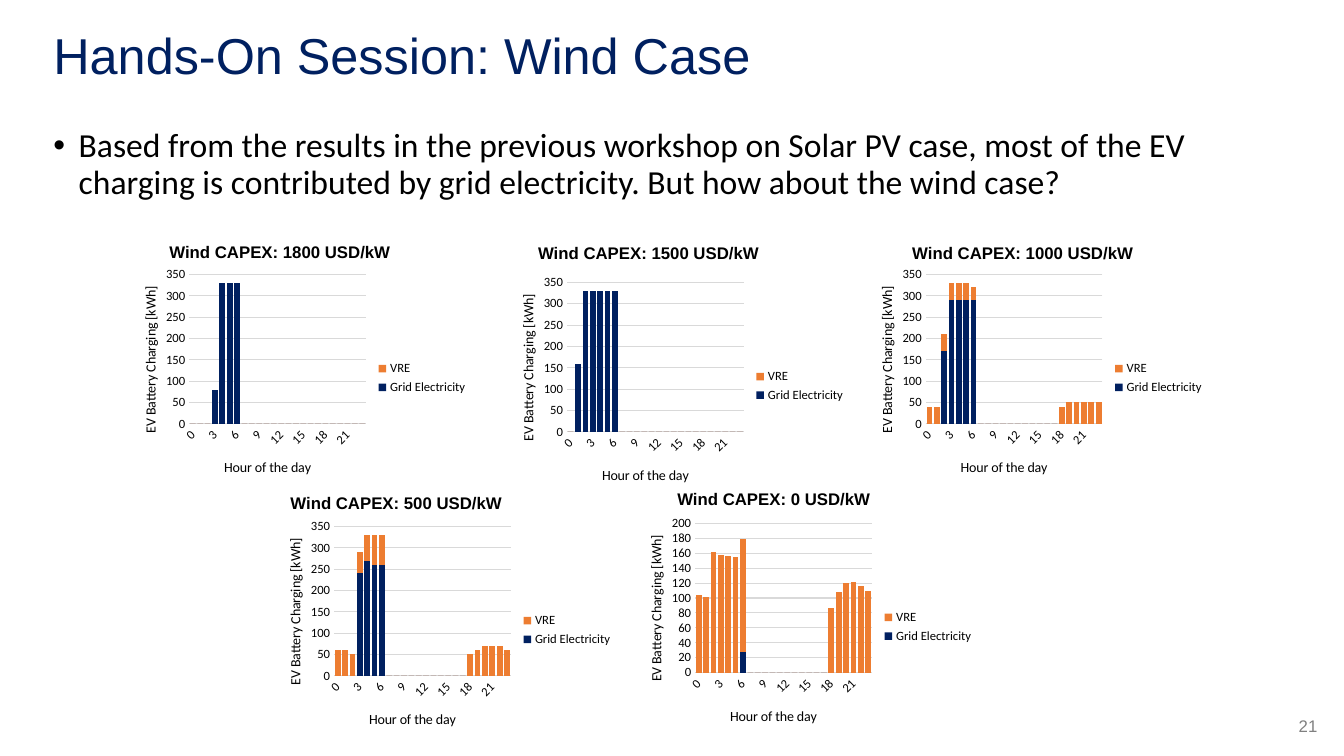
from lxml import etree
from pptx import Presentation
from pptx import util as u
from pptx.chart.data import CategoryChartData
from pptx.dml.color import RGBColor
from pptx.enum import chart as charts
from pptx.enum import text
from pptx.oxml import parse_xml
from pptx.oxml.ns import nsdecls, qn

COLORS = {"navy": "002060", "orange": "ED7D31", "black": "000000",
          "gray": "808080", "grid": "D9D9D9"}
CHART_SIZE = (9.09, 5.79)
CAPTION_SIZE = (6.2, 0.91)
DAY = [0] * 11  # hours 7 to 17, without charging
NONE = [0] * 24
EVENING = [0] * 6

# CAPEX, caption corner, chart corner, axis maximum, axis step, grid, VRE
CASES = [
    (1800, (4.27, 5.89), (2.95, 6.63), 350, 50,
     [0, 0, 0, 80, 330, 330, 330] + DAY + EVENING, NONE),
    (1500, (13.56, 5.92), (12.47, 6.83), 350, 50,
     [0, 160, 330, 330, 330, 330, 330] + DAY + EVENING, NONE),
    (1000, (22.99, 5.92), (21.51, 6.63), 350, 50,
     [0, 0, 170, 290, 290, 290, 290] + DAY + EVENING,
     [40, 40, 40, 40, 40, 40, 30] + DAY + [40, 50, 50, 50, 50, 50]),
    (500, (7.32, 12.22), (6.6, 12.98), 350, 50,
     [0, 0, 0, 240, 270, 260, 260] + DAY + EVENING,
     [60, 60, 50, 50, 60, 70, 70] + DAY + [50, 60, 70, 70, 70, 60]),
    (0, (17.07, 12.12), (15.7, 12.9), 200, 20,
     [0, 0, 0, 0, 0, 0, 28] + DAY + EVENING,
     [104, 101, 161, 158, 156, 155, 151] + DAY
     + [86, 108, 120, 121, 116, 110]),
]


def rgb(name):
    """Return the named colour."""
    return RGBColor.from_string(COLORS[name])


def set_layout(element, index, **values):
    """Give a chart part a manual layout in fractions of the chart."""
    for old in element.findall(qn("c:layout")):
        element.remove(old)
    layout = parse_xml(f"<c:layout {nsdecls('c')}><c:manualLayout/></c:layout>")
    manual = layout[0]
    if "w" in values:
        etree.SubElement(manual, qn("c:layoutTarget")).set("val", "inner")
    for key in ("xMode", "yMode"):
        etree.SubElement(manual, qn("c:" + key)).set("val", "edge")
    for key, value in values.items():
        etree.SubElement(manual, qn("c:" + key)).set("val", str(value))
    element.insert(index, layout)


class SlideBuilder:
    """Holds the style and the current slide."""

    heading_font = "Arial"
    body_font = "Calibri"

    def __init__(self, slide):
        self.slide = slide

    def style(self, font, size, color="black", name=None, bold=False):
        """Format a font."""
        font.name = name or self.body_font
        font.size = u.Pt(size)
        font.bold = bold
        font.color.rgb = rgb(color)

    def place(self, shape, left, top, width, height):
        """Move and size a shape, in centimetres."""
        shape.left, shape.top = u.Cm(left), u.Cm(top)
        shape.width, shape.height = u.Cm(width), u.Cm(height)

    def title(self, words, box):
        """Fill the title placeholder."""
        shape = self.slide.shapes.title
        self.place(shape, *box)
        frame = shape.text_frame
        frame.text = words
        frame.auto_size = text.MSO_AUTO_SIZE.NONE
        frame.vertical_anchor = text.MSO_ANCHOR.MIDDLE
        paragraph = frame.paragraphs[0]
        paragraph.alignment = text.PP_ALIGN.LEFT
        paragraph.line_spacing = 0.9
        self.style(paragraph.font, 36, "navy", self.heading_font)

    def bullet(self, words, box):
        """Fill the body placeholder with one bulleted paragraph."""
        shape = self.slide.placeholders[1]
        self.place(shape, *box)
        frame = shape.text_frame
        frame.text = words
        frame.auto_size = text.MSO_AUTO_SIZE.NONE
        paragraph = frame.paragraphs[0]
        paragraph.line_spacing = 0.9
        paragraph.space_before = u.Pt(10)
        self.style(paragraph.font, 24)
        properties = paragraph._p.get_or_add_pPr()
        indent = u.Cm(0.64)
        properties.set("marL", str(indent))
        properties.set("indent", str(-indent))

    def label(self, words, box, size=12, color="black", bold=False,
              align=text.PP_ALIGN.LEFT, inset=0):
        """Add a one-line text box."""
        shape = self.slide.shapes.add_textbox(*map(u.Cm, box))
        frame = shape.text_frame
        frame.word_wrap = True
        frame.vertical_anchor = text.MSO_ANCHOR.MIDDLE
        frame.margin_left = frame.margin_right = u.Cm(inset)
        frame.margin_top = frame.margin_bottom = 0
        frame.text = words
        paragraph = frame.paragraphs[0]
        paragraph.alignment = align
        self.style(paragraph.font, size, color, self.heading_font, bold)

    def axis(self, axis, words, x, y):
        """Style an axis and place its title."""
        axis.major_tick_mark = axis.minor_tick_mark = charts.XL_TICK_MARK.NONE
        self.style(axis.tick_labels.font, 9)
        title = axis.axis_title
        title.text_frame.text = words
        self.style(title.text_frame.paragraphs[0].font, 10)
        set_layout(title._element, 1, x=x, y=y)

    def charging_chart(self, corner, maximum, step, grid, vre):
        """Add a stacked column chart of charging by hour."""
        data = CategoryChartData(number_format="#,##0")
        data.categories = [str(hour) for hour in range(24)]
        data.add_series("Grid Electricity", grid)
        data.add_series("VRE", vre)
        chart = self.slide.shapes.add_chart(
            charts.XL_CHART_TYPE.COLUMN_STACKED,
            *map(u.Cm, corner + CHART_SIZE), data).chart
        self.style(chart.font, 10)
        chart.has_title = False
        chart.has_legend = True
        chart.legend.position = charts.XL_LEGEND_POSITION.RIGHT
        chart.legend.include_in_layout = False
        self.style(chart.legend.font, 9)

        plot = chart.plots[0]
        plot.gap_width, plot.overlap = 30, 100
        plot.vary_by_categories = False
        for series, color in zip(plot.series, ("navy", "orange")):
            series.format.fill.solid()
            series.format.fill.fore_color.rgb = rgb(color)
        set_layout(chart._chartSpace.chart.plotArea, 0,
                   x=0.2, y=0.05, w=0.49, h=0.65)

        hours = chart.category_axis
        self.axis(hours, "Hour of the day", 0.29, 0.84)
        hours.format.line.color.rgb = rgb("grid")
        hours.format.line.width = u.Pt(0.75)
        element = hours._element
        element.find(qn("c:txPr")).find(qn("a:bodyPr")).set("rot", "-2700000")
        element.find(qn("c:noMultiLvlLbl")).addprevious(
            parse_xml(f"<c:tickLblSkip {nsdecls('c')} val='3'/>"))

        energy = chart.value_axis
        self.axis(energy, "EV Battery Charging [kWh]", 0.06, 0.09)
        energy.minimum_scale, energy.maximum_scale = 0, maximum
        energy.major_unit = step
        energy.tick_labels.number_format = "#,##0"
        energy.tick_labels.number_format_is_linked = False
        energy.format.line.fill.background()
        energy.major_gridlines.format.line.color.rgb = rgb("grid")
        energy.major_gridlines.format.line.width = u.Pt(0.75)


def main():
    """Build and save the presentation."""
    presentation = Presentation()
    presentation.slide_width = u.Cm(33.87)
    presentation.slide_height = u.Cm(19.05)
    slide = presentation.slides.add_slide(presentation.slide_layouts[1])
    builder = SlideBuilder(slide)
    builder.title("Hands-On Session: Wind Case", (1.09, 0.48, 29.21, 1.98))
    builder.bullet("Based from the results in the previous workshop on Solar "
                   "PV case, most of the EV charging is contributed by grid "
                   "electricity. But how about the wind case?",
                   (1.09, 3.12, 31.32, 13.97))
    builder.label("21", (32.03, 17.78, 1.42, 1.02), color="gray",
                  align=text.PP_ALIGN.RIGHT, inset=0.25)
    for capex, caption_corner, chart_corner, maximum, step, grid, vre in CASES:
        builder.charging_chart(chart_corner, maximum, step, grid, vre)
        builder.label(f"Wind CAPEX: {capex} USD/kW",
                      caption_corner + CAPTION_SIZE, bold=True)
    presentation.save("out.pptx")


main()
